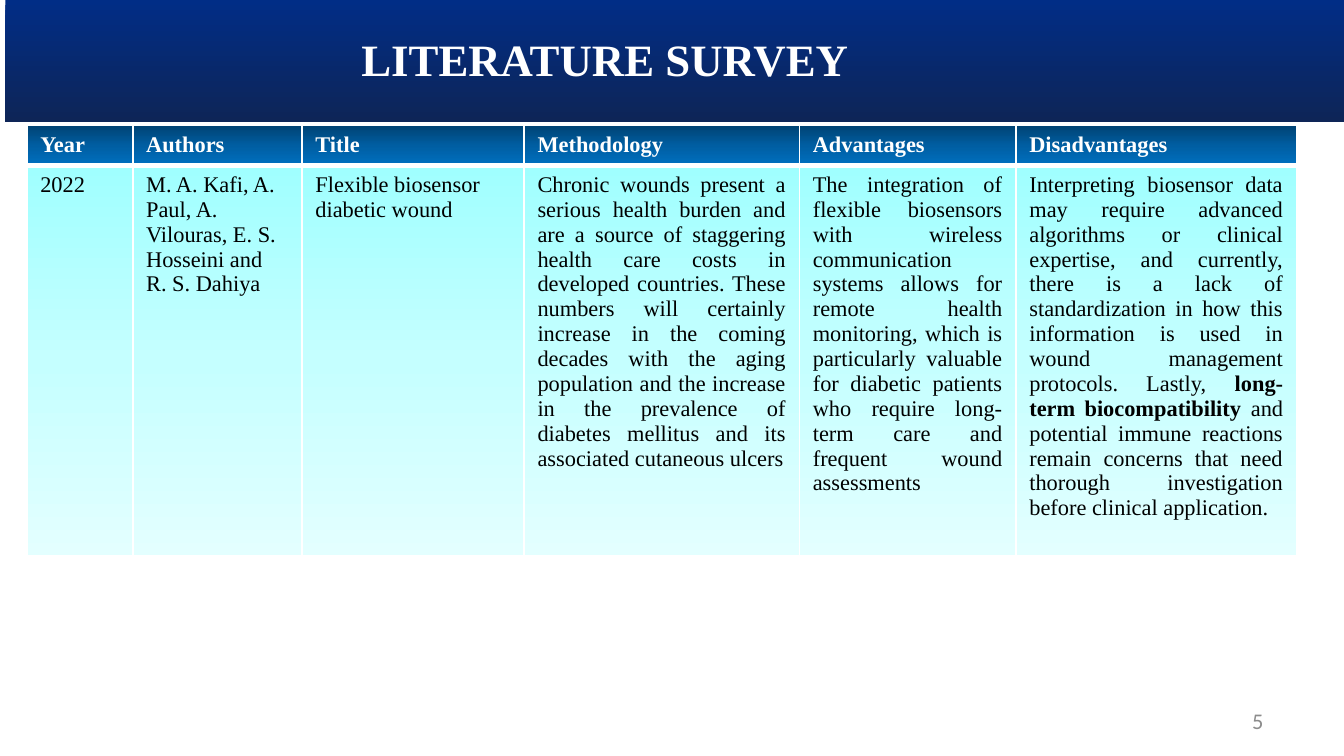
from lxml import etree
from pptx import Presentation
from pptx.dml.color import RGBColor
from pptx.enum import shapes, text
from pptx.oxml.ns import qn
from pptx.util import Pt

SERIF = "Times New Roman"
HEAD = [(0, "004272"), (50, "005EA2"), (100, "0070C0")]
BODY = [(0, "A0FFFF"), (50, "C5FFFF"), (100, "E3FFFF")]


def shade(fill, props, stops):
    """Fill from top to bottom with (percent, colour) stops."""
    fill.gradient()
    fill.gradient_angle = 270
    group = props.find(qn("a:gradFill")).find(qn("a:gsLst"))
    for old in list(group):
        group.remove(old)
    for pos, color in stops:
        stop = etree.SubElement(group, qn("a:gs"), pos=str(pos * 1000))
        etree.SubElement(stop, qn("a:srgbClr"), val=color)


def style(run, size, color, bold=False, face=SERIF):
    font = run.font
    font.size, font.bold, font.name = Pt(size), bold, face
    font.color.rgb = RGBColor.from_string(color)


deck = Presentation()
deck.slide_width, deck.slide_height = Pt(720), Pt(405)
slide = deck.slides.add_slide(deck.slide_layouts[6])

# Title band
band = slide.shapes.add_shape(
    shapes.MSO_SHAPE.RECTANGLE, Pt(2.88), Pt(0), Pt(717.12), Pt(65.5))
band.shadow.inherit = False
band.line.fill.background()
shade(band.fill, band._element.spPr, [(0, "012D86"), (100, "0E2557")])

# Title and page number
labels = [
    ("LITERATURE SURVEY", (0, -2.2, 648, 67.7), text.PP_ALIGN.CENTER,
     (24, "FFFFFF", True)),
    ("5", (516.2, 375.1, 167.8, 21.6), text.PP_ALIGN.RIGHT,
     (12, "8C8C8C", False, "Calibri")),
]
for words, place, align, look in labels:
    frame = slide.shapes.add_textbox(*map(Pt, place)).text_frame
    frame.word_wrap = True
    frame.vertical_anchor = text.MSO_ANCHOR.MIDDLE
    frame.text = words
    para = frame.paragraphs[0]
    para.alignment = align
    style(para.runs[0], *look)

# Survey table: each cell is a list of runs, every second one bold
heads = ["Year", "Authors", "Title", "Methodology", "Advantages", "Disadvantages"]
study = [
    ["2022"],
    ["M. A. Kafi, A. Paul, A. Vilouras, E. S. Hosseini and R. S. Dahiya"],
    ["Flexible biosensor diabetic wound"],
    ["Chronic wounds present a serious health burden and are a source of "
     "staggering health care costs in developed countries. These numbers will "
     "certainly increase in the coming decades with the aging population and "
     "the increase in the prevalence of diabetes mellitus and its associated "
     "cutaneous ulcers"],
    ["The integration of flexible biosensors with wireless communication "
     "systems allows for remote health monitoring, which is particularly "
     "valuable for diabetic patients who require long-term care and frequent "
     "wound assessments"],
    ["Interpreting biosensor data may require advanced algorithms or clinical "
     "expertise, and currently, there is a lack of standardization in how this "
     "information is used in wound management protocols. Lastly, ",
     "long-term biocompatibility",
     " and potential immune reactions remain concerns that need thorough "
     "investigation before clinical application."],
]
rows = [[[head] for head in heads], study, [[] for head in heads]]
widths = [56.7, 90.7, 119, 147.5, 116, 150.4]
heights = [15, 196, 42]

table = slide.shapes.add_table(
    len(rows), len(heads), Pt(14.4), Pt(67.2), Pt(sum(widths)),
    Pt(sum(heights))).table
table.first_row = table.horz_banding = False
for col, width in zip(table.columns, widths):
    col.width = Pt(width)

for r, row in enumerate(rows):
    table.rows[r].height = Pt(heights[r])
    for c, parts in enumerate(row):
        cell = table.cell(r, c)
        props = cell._tc.get_or_add_tcPr()
        for side in "LRTB":
            thick = 3 if (r, side) in [(0, "B"), (1, "T")] else 1
            edge = etree.SubElement(props, qn("a:ln" + side), w=str(Pt(thick)))
            solid = etree.SubElement(edge, qn("a:solidFill"))
            etree.SubElement(solid, qn("a:srgbClr"), val="FFFFFF")
        if not parts:
            cell.fill.background()
            continue
        shade(cell.fill, props, BODY if r else HEAD)
        para = cell.text_frame.paragraphs[0]
        if r and c > 2:
            para.alignment = text.PP_ALIGN.JUSTIFY
        for i, part in enumerate(parts):
            run = para.add_run()
            run.text = part
            style(run, 12, "000000" if r else "FFFFFF", r == 0 or i == 1)

deck.save("out.pptx")
